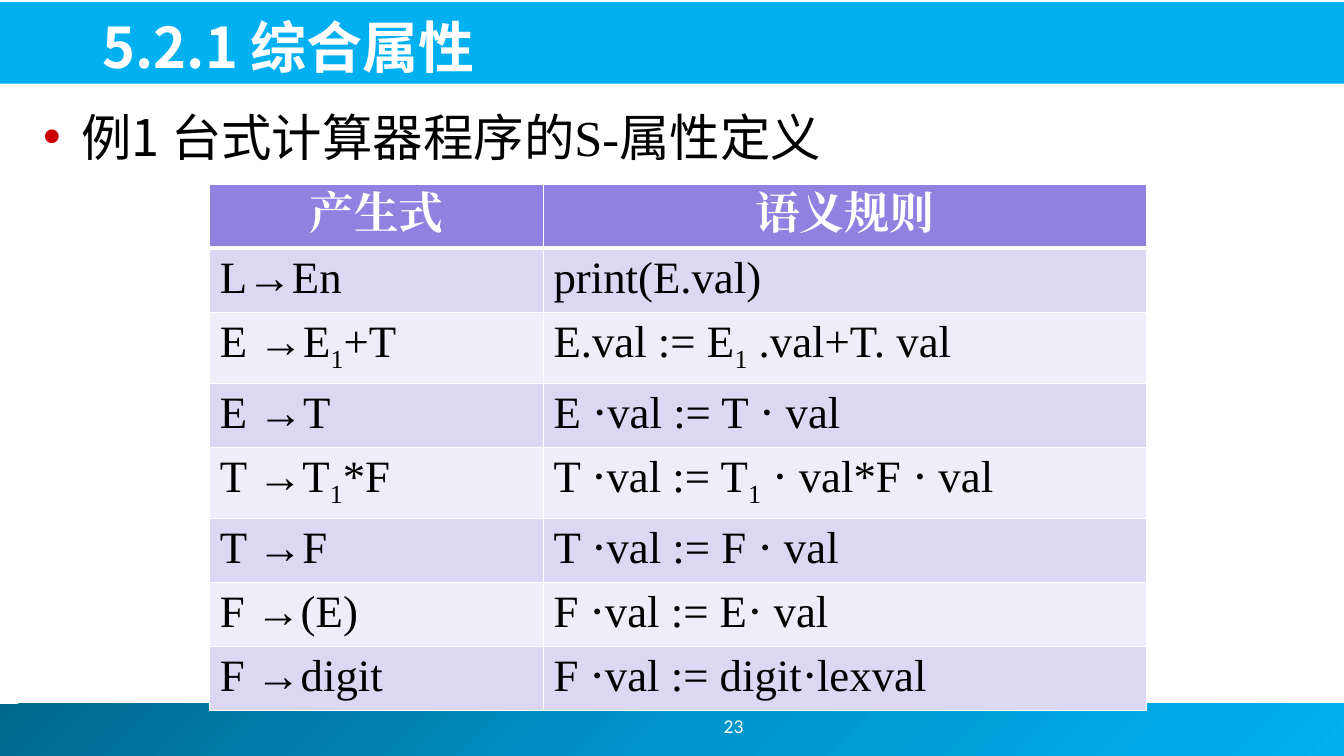
from lxml.etree import SubElement
from pptx import Presentation
from pptx.dml.color import RGBColor
from pptx.enum.shapes import MSO_SHAPE
from pptx.enum.text import MSO_ANCHOR, PP_ALIGN
from pptx.oxml.ns import qn
from pptx.util import Inches, Pt

WHITE = RGBColor(0xFF, 0xFF, 0xFF)
BLACK = RGBColor(0, 0, 0)
SKY = RGBColor(0x00, 0xB0, 0xF0)
MID_BLUE = RGBColor(0x00, 0x94, 0xCA)
DEEP_BLUE = RGBColor(0x00, 0x68, 0x8E)
BULLET_RED = RGBColor(0xCC, 0x00, 0x00)
HEADER_PURPLE = RGBColor(0x91, 0x81, 0xE1)
BAND_DARK = RGBColor(0xDC, 0xD8, 0xF4)
BAND_LIGHT = RGBColor(0xEE, 0xED, 0xF9)

SANS = "Noto Sans CJK JP"
SERIF = "Times New Roman"

RULES = [
    ("产生式", "语义规则"),
    ("L→En", "print(E.val)"),
    ("E →E|1|+T", "E.val := E|1| .val+T. val"),
    ("E →T", "E ⋅val := T ⋅ val"),
    ("T →T|1|*F", "T ⋅val := T|1| ⋅ val*F ⋅ val"),
    ("T →F", "T ⋅val := F ⋅ val"),
    ("F →(E)", "F ⋅val := E⋅ val"),
    ("F →digit", "F ⋅val := digit⋅lexval"),
]


def add_span(para, text, *, size, font, color=BLACK, bold=False, subscript=False):
    span = para.add_run()
    span.text = text
    span.font.size = Pt(size)
    span.font.name = font
    span.font.bold = bold
    span.font.color.rgb = color
    properties = span.font._element
    SubElement(properties, qn("a:ea")).set("typeface", font)
    if subscript:
        properties.set("baseline", "-25000")


def add_box(page, left, top, width, height, anchor=MSO_ANCHOR.TOP):
    box = page.shapes.add_textbox(Inches(left), Inches(top), Inches(width), Inches(height))
    box.text_frame.word_wrap = True
    box.text_frame.vertical_anchor = anchor
    return box.text_frame.paragraphs[0]


def add_bar(page, left, top, width, height):
    bar = page.shapes.add_shape(
        MSO_SHAPE.RECTANGLE, Inches(left), Inches(top), Inches(width), Inches(height))
    bar.shadow.inherit = False
    bar.line.fill.background()
    bar.fill.solid()
    bar.fill.fore_color.rgb = SKY
    return bar


def set_gradient(bar, colors):
    bar.fill.gradient()
    bar.fill.gradient_angle = 315
    stops = bar._element.spPr.find(qn("a:gradFill")).find(qn("a:gsLst"))
    for stop in list(stops):
        stops.remove(stop)
    for index, color in enumerate(colors):
        stop = SubElement(stops, qn("a:gs"), pos=str(index * 100000 // (len(colors) - 1)))
        SubElement(stop, qn("a:srgbClr"), val=str(color))


def set_bullet(para):
    properties = para._p.get_or_add_pPr()
    properties.set("marL", str(Inches(0.38)))
    properties.set("indent", str(-Inches(0.38)))
    SubElement(SubElement(properties, qn("a:buClr")), qn("a:srgbClr"), val=str(BULLET_RED))
    SubElement(properties, qn("a:buFont"), typeface="Arial")
    SubElement(properties, qn("a:buChar"), char="•")


def set_borders(cell, top, bottom):
    properties = cell._tc.get_or_add_tcPr()
    widths = {"a:lnL": 1, "a:lnR": 1, "a:lnT": top, "a:lnB": bottom}
    for index, (side, width) in enumerate(widths.items()):
        line = properties.makeelement(qn(side), {"w": str(Pt(width))})
        fill = SubElement(line, qn("a:solidFill"))
        SubElement(fill, qn("a:srgbClr"), val=str(WHITE))
        properties.insert(index, line)


def add_rule_table(page):
    table = page.shapes.add_table(
        len(RULES), 2, Inches(2.08), Inches(1.83), Inches(9.29), Inches(5.07)).table
    table.columns[0].width = Inches(3.31)
    table.columns[1].width = Inches(5.98)
    for row, texts in enumerate(RULES):
        header = row == 0
        band = BAND_DARK if row % 2 else BAND_LIGHT
        for column, text in enumerate(texts):
            cell = table.cell(row, column)
            cell.fill.solid()
            cell.fill.fore_color.rgb = HEADER_PURPLE if header else band
            set_borders(cell, top=3 if row == 1 else 1, bottom=3 if header else 1)
            para = cell.text_frame.paragraphs[0]
            para.alignment = PP_ALIGN.CENTER if header else PP_ALIGN.LEFT
            for index, part in enumerate(text.split("|")):
                add_span(para, part, size=32, font=SERIF, bold=header,
                         color=WHITE if header else BLACK, subscript=index % 2 == 1)


def main():
    deck = Presentation()
    deck.slide_width = Inches(13.33)
    deck.slide_height = Inches(7.5)
    page = deck.slides.add_slide(deck.slide_layouts[6])

    footer = add_bar(page, -0.05, 6.98, 13.39, 0.52)
    set_gradient(footer, [DEEP_BLUE, MID_BLUE, SKY])
    add_bar(page, -0.02, 0.02, 13.36, 0.81)

    example = add_box(page, 0.33, 1, 9.33, 0.75)
    set_bullet(example)
    for text, font in [("例1 台式计算器程序的", SANS), ("S-", SERIF), ("属性定义", SANS)]:
        add_span(example, text, size=36, font=font)

    number = add_box(page, 5.83, 6.95, 2.89, 0.5, MSO_ANCHOR.MIDDLE)
    number.alignment = PP_ALIGN.CENTER
    add_span(number, "23", size=14, font="Calibri", color=WHITE)

    title = add_box(page, 0.92, 0.05, 11.97, 0.79, MSO_ANCHOR.BOTTOM)
    add_span(title, "5.2.1 综合属性", size=40, font=SANS, color=WHITE, bold=True)

    add_rule_table(page)
    deck.save("out.pptx")


if __name__ == "__main__":
    main()
